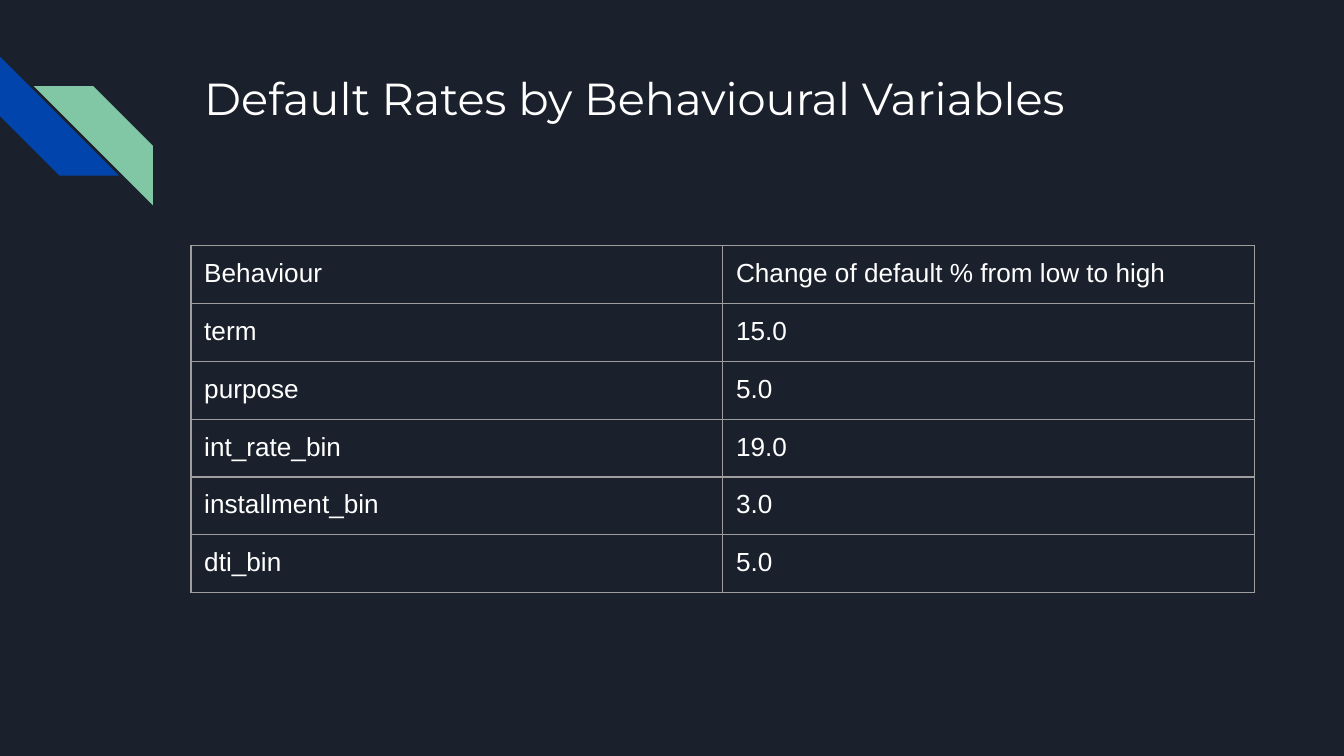
"""Build a slide with a table of default rates by behavioural variable."""
from dataclasses import dataclass

from lxml import etree
from pptx import Presentation
from pptx import util as u
from pptx.dml import color as col
from pptx.enum import shapes, text
from pptx.oxml import ns

HUES = {"back": "1B212C", "blue": "0145AC", "green": "82C7A5",
        "text": "FFFFFF", "rule": "9E9E9E"}
PAD = {f"margin_{side}": u.Cm(0.25) for side in ("left", "top", "right", "bottom")}
ROWS = [
    ("Behaviour", "Change of default % from low to high"),
    ("term", "15.0"),
    ("purpose", "5.0"),
    ("int_rate_bin", "19.0"),
    ("installment_bin", "3.0"),
    ("dti_bin", "5.0"),
]


@dataclass
class Stripe:
    left: float
    top: float
    turn: int
    hue: str


STRIPES = [Stripe(0, 1.07, 270, "blue"), Stripe(0.64, 1.63, 90, "green")]


def rgb(hue: str) -> col.RGBColor:
    return col.RGBColor.from_string(HUES[hue])


def apply(item, vals: dict) -> None:
    for key, val in vals.items():
        setattr(item, key, val)


def write(frame, words: str, face: str, size: float) -> None:
    run = frame.paragraphs[0].add_run()
    run.text = words
    apply(run.font, {"name": face, "size": u.Pt(size)})
    run.font.color.rgb = rgb("text")


def draw_stripe(slide, mark: Stripe) -> None:
    shape = slide.shapes.add_shape(
        shapes.MSO_SHAPE.DIAGONAL_STRIPE, u.Cm(mark.left), u.Cm(mark.top),
        u.Cm(2.25), u.Cm(2.25))
    shape.rotation = mark.turn
    shape.shadow.inherit = False
    shape.fill.solid()
    shape.fill.fore_color.rgb = rgb(mark.hue)
    shape.line.fill.background()


def draw_title(slide, words: str) -> None:
    box = slide.shapes.add_textbox(u.Cm(3.61), u.Cm(1.09), u.Cm(19.56), u.Cm(2.54))
    apply(box.text_frame, PAD | {"word_wrap": True,
                                 "vertical_anchor": text.MSO_ANCHOR.TOP})
    write(box.text_frame, words, "Montserrat", 24)


def rule_cell(cell) -> None:
    props = cell._tc.get_or_add_tcPr()
    for side in ("lnL", "lnR", "lnT", "lnB"):
        line = etree.SubElement(props, ns.qn(f"a:{side}"), w=str(u.Pt(0.75)))
        fill = etree.SubElement(line, ns.qn("a:solidFill"))
        etree.SubElement(fill, ns.qn("a:srgbClr"), val=HUES["rule"])


def draw_table(slide, rows: list[tuple[str, str]]) -> None:
    high, wide = u.Cm(1.06), u.Cm(10.05)
    table = slide.shapes.add_table(
        len(rows), 2, u.Cm(3.61), u.Cm(4.64), wide * 2, high * len(rows)).table
    apply(table, {"first_row": False, "horz_banding": False})
    for r, row in enumerate(rows):
        for c, words in enumerate(row):
            cell = table.cell(r, c)
            apply(cell, PAD)
            rule_cell(cell)
            cell.fill.background()
            write(cell.text_frame, words, "Arial", 14)


def main() -> None:
    deck = Presentation()
    apply(deck, {"slide_width": u.Cm(25.4), "slide_height": u.Cm(14.29)})
    slide = deck.slides.add_slide(deck.slide_layouts[6])
    slide.background.fill.solid()
    slide.background.fill.fore_color.rgb = rgb("back")
    for mark in STRIPES:
        draw_stripe(slide, mark)
    draw_title(slide, "Default Rates by Behavioural Variables")
    draw_table(slide, ROWS)
    deck.save("out.pptx")


if __name__ == "__main__":
    main()
